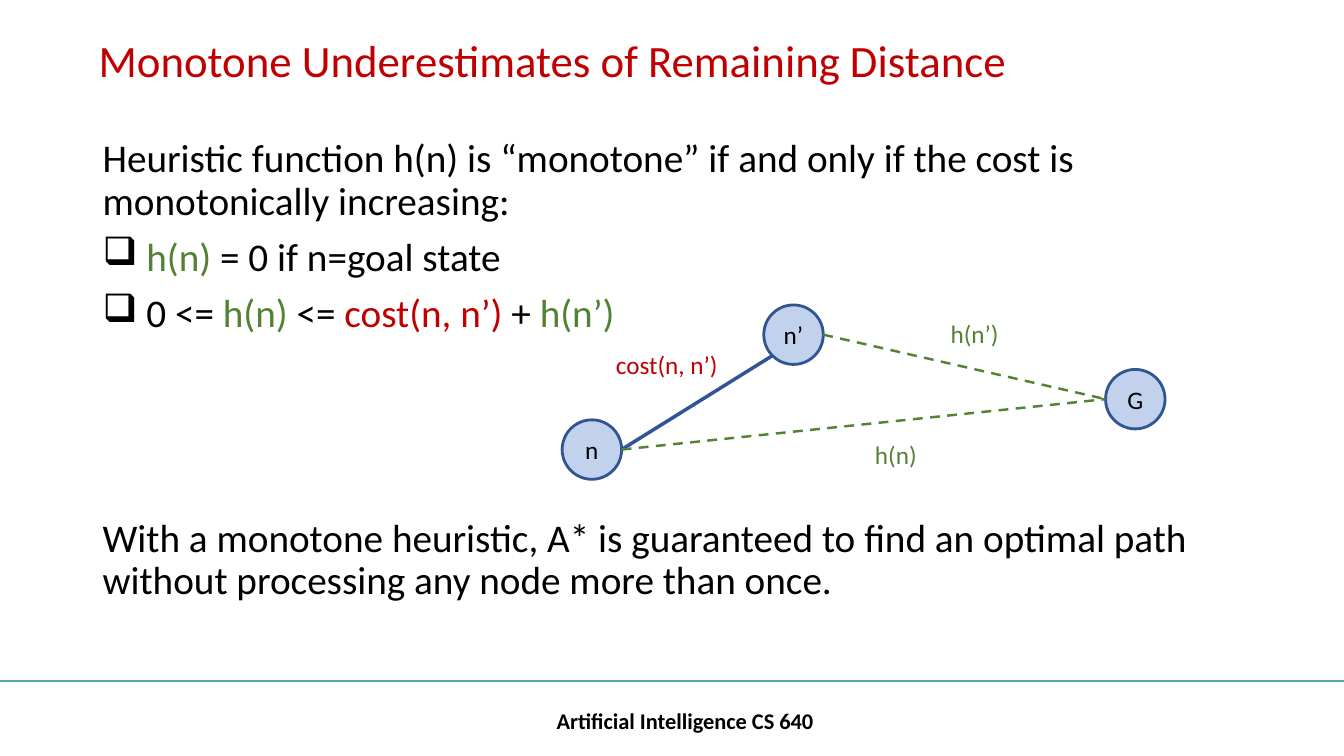
import math

import pptx
import pptx.dml.color
import pptx.enum.dml
import pptx.enum.shapes
import pptx.enum.text
import pptx.oxml
import pptx.oxml.ns
import pptx.util
from pptx.util import Inches

COLORS = {
    "black": "000000",
    "red": "C00000",
    "green": "548235",
    "teal": "54A89D",
    "node": "4472C4",
    "outline": "325491",
    "edge": "2F5597",
}
ALIGN = pptx.enum.text.PP_ALIGN
ANCHOR = pptx.enum.text.MSO_ANCHOR
DASH = pptx.enum.dml.MSO_LINE.DASH


def add_runs(paragraph, runs, size, bold=False):
    """Append (text, colour name) runs to a paragraph."""
    for text, color in runs:
        run = paragraph.add_run()
        run.text = text
        run.font.name = "Calibri"
        run.font.size = pptx.util.Pt(size)
        run.font.bold = bold
        run.font.color.rgb = pptx.dml.color.RGBColor.from_string(COLORS[color])


def add_line(start, end, color, width, dash=None):
    line = slide.shapes.add_connector(
        pptx.enum.shapes.MSO_CONNECTOR.STRAIGHT, *map(Inches, start + end))
    line.line.color.rgb = pptx.dml.color.RGBColor.from_string(COLORS[color])
    line.line.width = pptx.util.Pt(width)
    line.line.dash_style = dash
    pptx.oxml.ns.qn("a:effectLst")
    line._element.spPr.append(pptx.oxml.parse_xml(
        f"<a:effectLst {pptx.oxml.ns.nsdecls('a')}/>"))


deck = pptx.Presentation()
deck.slide_width, deck.slide_height = Inches(13.33), Inches(7.5)
slide = deck.slides.add_slide(deck.slide_layouts[6])

add_line((0, 6.76), (13.33, 6.76), "teal", 1.5)

# Single-line texts: box, text, colour, size, bold, alignment, anchor, line spacing
labels = [
    ((0.88, -0.1, 11.5, 1.45), "Monotone Underestimates of Remaining Distance",
     "red", 32, False, ALIGN.LEFT, ANCHOR.MIDDLE, 0.9),
    ((3.99, 6.95, 5.61, 0.4), "Artificial Intelligence CS 640",
     "black", 16, True, ALIGN.CENTER, ANCHOR.MIDDLE, 1.0),
    ((6.01, 3.42, 1.22, 0.4), "cost(n, n’)",
     "red", 18, False, ALIGN.LEFT, ANCHOR.TOP, 1.0),
    ((9.33, 3.11, 0.69, 0.4), "h(n’)",
     "green", 18, False, ALIGN.LEFT, ANCHOR.TOP, 1.0),
    ((8.58, 4.31, 0.87, 0.4), "h(n)",
     "green", 18, False, ALIGN.LEFT, ANCHOR.TOP, 1.0),
]
for box, text, color, size, bold, alignment, anchor, spacing in labels:
    frame = slide.shapes.add_textbox(*map(Inches, box)).text_frame
    frame.word_wrap = True
    frame.vertical_anchor = anchor
    frame.paragraphs[0].alignment = alignment
    frame.paragraphs[0].line_spacing = spacing
    add_runs(frame.paragraphs[0], [(text, color)], size, bold)

# Definition and conclusion: space before in points, bulleted or not, runs
statements = [
    (10, False, [("Heuristic function h(n) is “monotone” if and only if the cost is "
                  "monotonically increasing:", "black")]),
    (10, True, [(" ", "black"), ("h(n)", "green"), (" = 0 if n=goal state", "black")]),
    (10, True, [(" 0 <= ", "black"), ("h(n)", "green"), (" <= ", "black"),
                ("cost(n, n’) ", "red"), ("+ ", "black"), ("h(n’)", "green")]),
    (130, False, [("With a monotone heuristic, A* is guaranteed to find an optimal path "
                   "without processing any node more than once.", "black")]),
]
body = slide.shapes.add_textbox(
    Inches(0.92), Inches(1.33), Inches(11.5), Inches(4.76)).text_frame
body.word_wrap = True
for index, (space_before, bulleted, runs) in enumerate(statements):
    paragraph = body.add_paragraph() if index else body.paragraphs[0]
    paragraph.line_spacing = 0.9
    paragraph.space_before = pptx.util.Pt(space_before)
    if bulleted:
        properties = paragraph._p.get_or_add_pPr()
        properties.set("marL", str(Inches(0.25)))
        properties.set("indent", str(-Inches(0.25)))
        properties.append(pptx.oxml.parse_xml(
            f"<a:buChar {pptx.oxml.ns.nsdecls('a')} char=\"❑\"/>"))
    add_runs(paragraph, runs, 28)

# Search graph: node centres, then edges that end on the node outlines
RADIUS = 0.295
centers = {"n’": (7.87, 3.32), "n": (5.87, 4.46), "G": (11.26, 3.96)}
for name, (x, y) in centers.items():
    node = slide.shapes.add_shape(
        pptx.enum.shapes.MSO_SHAPE.OVAL, Inches(x - RADIUS), Inches(y - RADIUS),
        Inches(2 * RADIUS), Inches(2 * RADIUS))
    node.shadow.inherit = False
    node.fill.solid()
    node.fill.fore_color.rgb = pptx.dml.color.RGBColor.from_string(COLORS["node"])
    node.fill._xPr.solidFill[0].append(pptx.oxml.parse_xml(
        f"<a:alpha {pptx.oxml.ns.nsdecls('a')} val=\"32000\"/>"))
    node.line.color.rgb = pptx.dml.color.RGBColor.from_string(COLORS["outline"])
    node.line.width = pptx.util.Pt(2)
    node.text_frame.vertical_anchor = ANCHOR.MIDDLE
    node.text_frame.paragraphs[0].alignment = ALIGN.CENTER
    add_runs(node.text_frame.paragraphs[0], [(name, "black")], 18)

# Each edge: node and angle in degrees (clockwise from the right) at both ends
edges = [
    ("n", 0, "n’", 135, "edge", 2.5, None),
    ("n’", 0, "G", 180, "green", 1.75, DASH),
    ("n", 0, "G", 180, "green", 1.75, DASH),
]
for start, start_angle, end, end_angle, color, width, dash in edges:
    tips = [
        (centers[name][0] + RADIUS * math.cos(math.radians(angle)),
         centers[name][1] + RADIUS * math.sin(math.radians(angle)))
        for name, angle in ((start, start_angle), (end, end_angle))
    ]
    add_line(*tips, color, width, dash)

deck.save("out.pptx")
